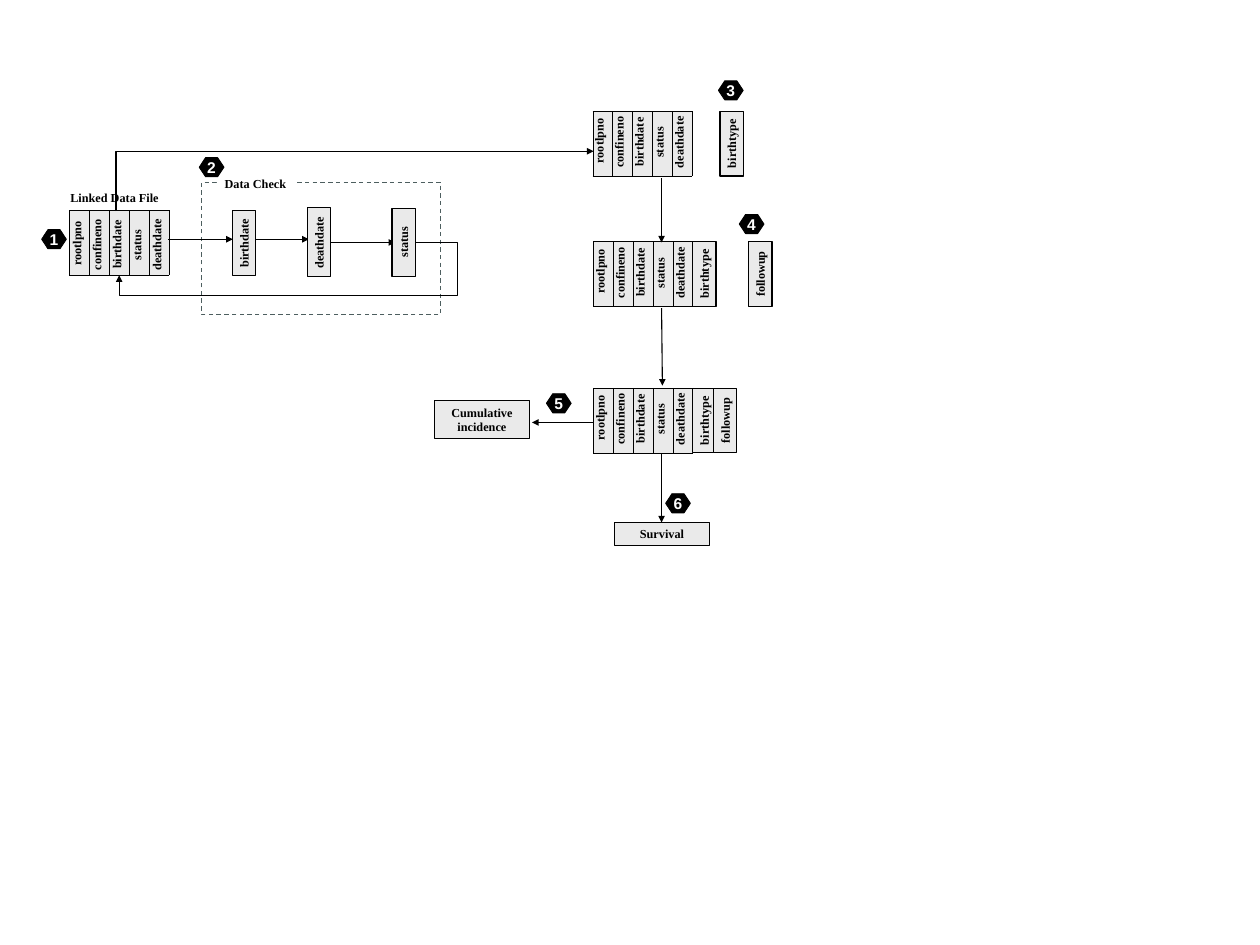
from lxml.etree import SubElement
from pptx import Presentation
from pptx.dml.color import RGBColor
from pptx.enum.dml import MSO_LINE
from pptx.enum.shapes import MSO_CONNECTOR, MSO_SHAPE
from pptx.enum.text import MSO_ANCHOR, MSO_AUTO_SIZE, PP_ALIGN
from pptx.oxml.ns import qn
from pptx.util import Inches, Pt

COLORS = {name: RGBColor.from_string(value) for name, value in {
    "black": "000000", "white": "FFFFFF", "gray": "EAEAEA", "frame": "4D5E5F"}.items()}

presentation = Presentation()
presentation.slide_width, presentation.slide_height = Inches(15.75), Inches(11.81)
slide = presentation.slides.add_slide(presentation.slide_layouts[6])
shapes = slide.shapes


def write_text(shape, text, font="Times New Roman", size=11, color="black",
               align=PP_ALIGN.LEFT, anchor=MSO_ANCHOR.TOP, wrap=False, grow=True):
    frame = shape.text_frame
    frame.word_wrap = wrap
    frame.auto_size = MSO_AUTO_SIZE.SHAPE_TO_FIT_TEXT if grow else MSO_AUTO_SIZE.NONE
    frame.vertical_anchor = anchor
    paragraph = frame.paragraphs[0]
    paragraph.alignment = align
    run = paragraph.add_run()
    run.text = text
    run.font.name, run.font.size, run.font.bold = font, Pt(size), True
    run.font.color.rgb = COLORS[color]


def add_arrow(x1, y1, x2, y2, kind=MSO_CONNECTOR.STRAIGHT):
    arrow = shapes.add_connector(kind, Inches(x1), Inches(y1), Inches(x2), Inches(y2))
    arrow.line.color.rgb = COLORS["black"]
    arrow.line.width = Pt(1)
    SubElement(arrow.line._get_or_add_ln(), qn("a:tailEnd"), type="triangle")
    SubElement(arrow._element.spPr, qn("a:effectLst"))
    return arrow


# Heading of the linked file
heading = shapes.add_textbox(Inches(0.78), Inches(2.33), Inches(1.31), Inches(0.29))
write_text(heading, "Linked Data File")

# Data files: one-row tables with upright field names
COLUMN_WIDTHS = [0.24, 0.25, 0.25, 0.25, 0.25]
FIELDS = [("rootlpno", 0.76, 0.37), ("confineno", 0.85, 0.38), ("birthdate", 0.82, 0.38),
          ("status", 0.58, 0.39), ("deathdate", 0.86, 0.38)]
DATA_FILES = [(0.87, 2.63, 0.01, 0.04), (7.41, 1.39, 0, 0),
              (7.42, 3.02, 0, 0), (7.42, 4.85, 0, 0)]
for left, top, shift_x, shift_y in DATA_FILES:
    table = shapes.add_table(1, len(FIELDS), Inches(left), Inches(top),
                             Inches(1.23), Inches(0.81)).table
    table.first_row = table.horz_banding = False
    for column, width in enumerate(COLUMN_WIDTHS):
        table.columns[column].width = Inches(width)
        cell = table.cell(0, column)
        cell.margin_left = cell.margin_right = 0
        for side in ("lnL", "lnR", "lnT", "lnB"):
            border = SubElement(cell._tc.get_or_add_tcPr(), qn(f"a:{side}"), w=str(Pt(0.45)))
            fill = SubElement(border, qn("a:solidFill"))
            SubElement(fill, qn("a:srgbClr"), val=str(COLORS["black"]))
        cell.fill.solid()
        cell.fill.fore_color.rgb = COLORS["gray"]
    for column, (field, length, middle) in enumerate(FIELDS):
        center_x = left + 0.08 + 0.25 * column + shift_x
        center_y = top + middle + shift_y
        label = shapes.add_textbox(Inches(center_x - length / 2), Inches(center_y - 0.145),
                                   Inches(length), Inches(0.29))
        label.rotation = 270
        write_text(label, field)

# Data check frame and its title
check_frame = shapes.add_shape(MSO_SHAPE.RECTANGLE, Inches(2.52), Inches(2.28),
                               Inches(2.99), Inches(1.65))
check_frame.shadow.inherit = False
check_frame.fill.background()
check_frame.line.color.rgb = COLORS["frame"]
check_frame.line.width = Pt(1)
check_frame.line.dash_style = MSO_LINE.DASH
check_title = shapes.add_textbox(Inches(2.71), Inches(2.15), Inches(0.97), Inches(0.29))
check_title.fill.solid()
check_title.fill.fore_color.rgb = COLORS["white"]
write_text(check_title, "Data Check")

# Straight arrows
for ends in [(2.1, 2.99, 2.91, 2.99), (3.2, 2.99, 3.86, 2.99), (4.13, 3.03, 4.94, 3.03),
             (8.27, 2.23, 8.27, 3.03), (8.27, 3.85, 8.28, 4.82),
             (7.42, 5.28, 6.65, 5.28), (8.27, 5.68, 8.27, 6.53)]:
    add_arrow(*ends)

# Bent arrow from the checks back to the linked file
loop_back = add_arrow(5.19, 3.03, 1.49, 3.44, MSO_CONNECTOR.ELBOW)
geometry = loop_back._element.spPr.find(qn("a:prstGeom"))
geometry.set("prst", "bentConnector4")
guides = geometry.find(qn("a:avLst"))
for name, value in [("adj1", -14400), ("adj2", 160700)]:
    SubElement(guides, qn("a:gd"), name=name, fmla=f"val {value}")

# Bent arrow up to the second file, turned a quarter so it leaves vertically
to_second_file = add_arrow(4.81, 5.25, 4.06, -0.72, MSO_CONNECTOR.ELBOW)
to_second_file._element.spPr.find(qn("a:prstGeom")).set("prst", "bentConnector2")
to_second_file._element.spPr.find(qn("a:xfrm")).set("rot", str(90 * 60000))

# Gray boxes: text, left, top, width, height, rotation, wrapped and centered
for text, left, top, width, height, rotation, wrap in [
        ("birthdate", 2.64, 2.89, 0.82, 0.29, 270, False),
        ("deathdate", 3.56, 2.88, 0.86, 0.29, 270, False),
        ("status", 4.62, 2.88, 0.85, 0.29, 270, True),
        ("birthtype", 8.74, 1.65, 0.81, 0.29, 270, True),
        ("birthtype", 8.4, 3.28, 0.81, 0.29, 270, True),
        ("followup", 9.1, 3.28, 0.81, 0.29, 270, True),
        ("birthtype", 8.4, 5.11, 0.81, 0.29, 270, True),
        ("followup", 8.66, 5.11, 0.81, 0.29, 270, True),
        ("Cumulative incidence", 5.43, 5.01, 1.19, 0.47, 0, True),
        ("Survival", 7.68, 6.53, 1.19, 0.29, 0, True)]:
    box = shapes.add_shape(MSO_SHAPE.RECTANGLE, Inches(left), Inches(top),
                           Inches(width), Inches(height))
    box.shadow.inherit = False
    box.rotation = rotation
    box.fill.solid()
    box.fill.fore_color.rgb = COLORS["gray"]
    box.line.color.rgb = COLORS["black"]
    box.line.width = Pt(1)
    write_text(box, text, wrap=wrap, align=PP_ALIGN.CENTER if wrap else PP_ALIGN.LEFT)

# Numbered step markers
MARKERS = [(0.52, 2.87), (2.49, 1.97), (8.98, 1.01), (9.24, 2.68), (6.83, 4.92), (8.32, 6.17)]
for number, (left, top) in enumerate(MARKERS, start=1):
    marker = shapes.add_shape(MSO_SHAPE.HEXAGON, Inches(left), Inches(top),
                              Inches(0.31), Inches(0.24))
    marker.adjustments[0] = 0.33
    marker.shadow.inherit = False
    marker.fill.solid()
    marker.fill.fore_color.rgb = COLORS["black"]
    marker.line.color.rgb = COLORS["black"]
    marker.line.width = Pt(0.75)
    write_text(marker, str(number), font="Arial", size=14, color="white",
               align=PP_ALIGN.CENTER, anchor=MSO_ANCHOR.MIDDLE, grow=False)

presentation.save("out.pptx")
